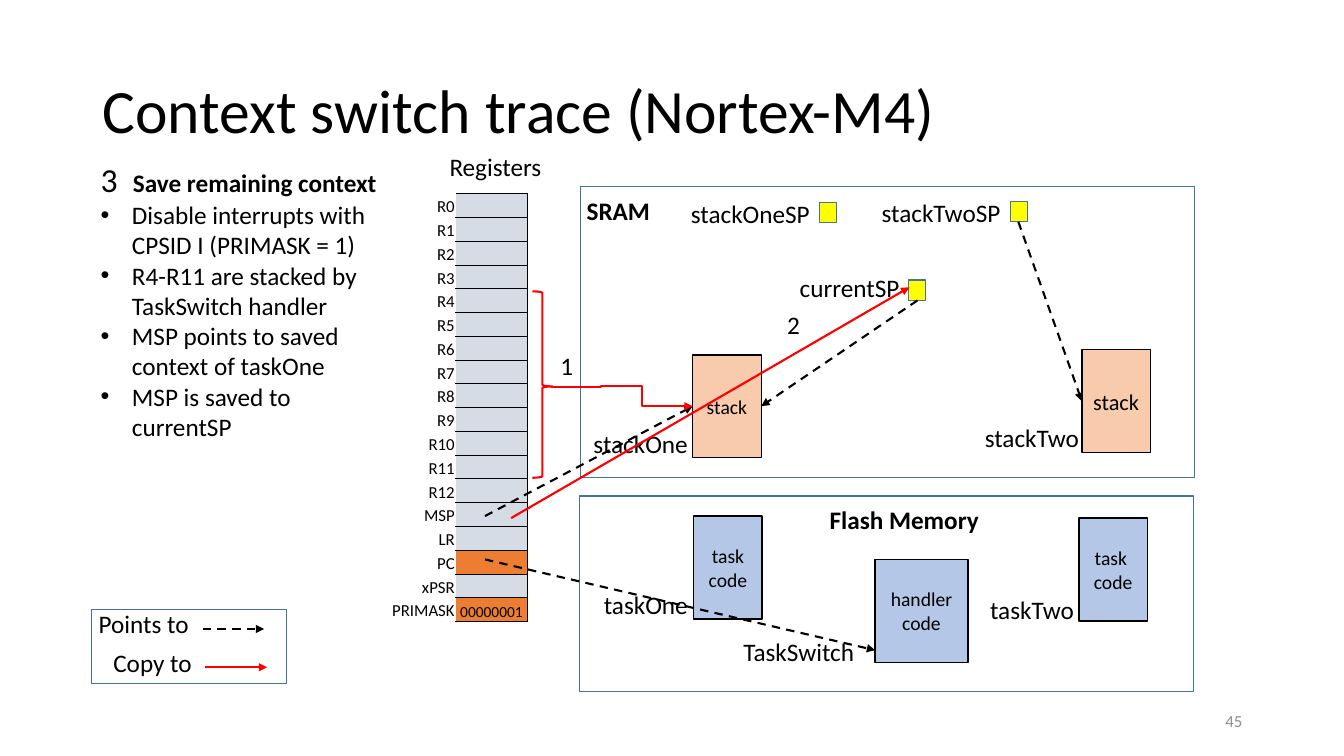
from dataclasses import dataclass

from lxml import etree
from pptx import Presentation
from pptx.dml.color import RGBColor
from pptx.enum.dml import MSO_LINE
from pptx.enum.shapes import MSO_CONNECTOR, MSO_SHAPE
from pptx.enum.text import MSO_ANCHOR, PP_ALIGN
from pptx.oxml.ns import qn
from pptx.util import Inches, Pt

LEFT, CENTER, RIGHT = PP_ALIGN.LEFT, PP_ALIGN.CENTER, PP_ALIGN.RIGHT
TOP, MIDDLE, BOTTOM = MSO_ANCHOR.TOP, MSO_ANCHOR.MIDDLE, MSO_ANCHOR.BOTTOM
STRAIGHT, ELBOW = MSO_CONNECTOR.STRAIGHT, MSO_CONNECTOR.ELBOW
RECTANGLE, BRACE = MSO_SHAPE.RECTANGLE, MSO_SHAPE.RIGHT_BRACE
DASH = MSO_LINE.DASH


@dataclass(frozen=True)
class Theme:
    """Colours, font and type sizes of the slide."""
    font: str = "Calibri"
    ink: str = "000000"
    muted: str = "8C8C8C"
    frame: str = "43739E"
    copy: str = "FF0000"
    stack: str = "F8CBAD"
    code: str = "B4C7E7"
    pointer: str = "FFFF00"
    register: str = "D6DCE5"
    changed: str = "ED7D31"
    title: int = 44
    step: int = 24
    body: int = 18
    large: int = 16
    small: int = 14
    cell: int = 12
    value: int = 11


THEME = Theme()
REGISTERS = [f"R{number}" for number in range(13)] + ["MSP", "LR", "PC", "xPSR", "PRIMASK"]
CHANGED = {"PC": "", "PRIMASK": "\u00a000000001"}
NOTES = [
    "Disable interrupts with CPSID I (PRIMASK = 1)",
    "R4-R11 are stacked by TaskSwitch handler",
    "MSP points to saved context of taskOne",
    "MSP is saved to currentSP",
]


def rgb(colour):
    """Turn a hex string into a colour."""
    return RGBColor.from_string(colour)


def add_run(paragraph, text, size, colour=THEME.ink, bold=False):
    """Append one styled run to a paragraph."""
    run = paragraph.add_run()
    run.text = text
    run.font.name, run.font.size, run.font.bold = THEME.font, Pt(size), bold
    run.font.color.rgb = rgb(colour)


def add_label(slide, box, text, size=THEME.body, align=RIGHT, anchor=TOP,
              bold=False, wrap=True, colour=THEME.ink):
    """Add a one-paragraph text box and return its paragraph."""
    frame = slide.shapes.add_textbox(*map(Inches, box)).text_frame
    frame.word_wrap, frame.vertical_anchor = wrap, anchor
    paragraph = frame.paragraphs[0]
    paragraph.alignment = align
    add_run(paragraph, text, size, colour, bold)
    return paragraph


def add_outline(slide, box, fill=None, line=THEME.frame, width=1, kind=RECTANGLE):
    """Add a preset shape with an optional fill."""
    shape = slide.shapes.add_shape(kind, *map(Inches, box))
    shape.shadow.inherit = False
    if fill:
        shape.fill.solid()
        shape.fill.fore_color.rgb = rgb(fill)
    else:
        shape.fill.background()
    shape.line.color.rgb, shape.line.width = rgb(line), Pt(width)
    return shape


def add_block(slide, box, lines, fill, size=THEME.small):
    """Add a memory block with one centred paragraph per line."""
    frame = add_outline(slide, box, fill, THEME.ink).text_frame
    frame.word_wrap, frame.vertical_anchor = True, MIDDLE
    for index, line in enumerate(lines):
        paragraph = frame.add_paragraph() if index else frame.paragraphs[0]
        paragraph.alignment = CENTER
        add_run(paragraph, line, size)


def add_arrow(slide, start, end, copies=False, kind=STRAIGHT):
    """Add a solid copy arrow or a dashed pointer arrow."""
    arrow = slide.shapes.add_connector(kind, *map(Inches, start + end))
    arrow.line.color.rgb = rgb(THEME.copy if copies else THEME.ink)
    arrow.line.width = Pt(1.5)
    if not copies:
        arrow.line.dash_style = DASH
    properties = arrow.element.find(qn("p:spPr"))
    etree.SubElement(properties.find(qn("a:ln")), qn("a:tailEnd"), type="triangle")
    etree.SubElement(properties, qn("a:effectLst"))
    return arrow


def bend_twice(arrow, *adjustments):
    """Give an elbow arrow five segments with the given adjustments."""
    geometry = arrow.element.find(qn("p:spPr")).find(qn("a:prstGeom"))
    geometry.set("prst", "bentConnector5")
    guides = geometry.find(qn("a:avLst"))
    if guides is None:
        guides = etree.SubElement(geometry, qn("a:avLst"))
    for number, value in enumerate(adjustments, 1):
        etree.SubElement(guides, qn("a:gd"), name=f"adj{number}", fmla=f"val {value}")


def add_borders(cell):
    """Draw thin lines on all four sides of a cell."""
    properties = cell._tc.get_or_add_tcPr()
    for side in ("a:lnL", "a:lnR", "a:lnT", "a:lnB"):
        line = etree.SubElement(properties, qn(side), w=str(Pt(0.5)))
        fill = etree.SubElement(line, qn("a:solidFill"))
        etree.SubElement(fill, qn("a:srgbClr"), val=THEME.ink)


def fill_cell(cell, text, size, align):
    """Write a table cell with tight margins."""
    cell.margin_left = cell.margin_right = cell.margin_top = Inches(0.01)
    cell.margin_bottom = 0
    cell.vertical_anchor = BOTTOM
    paragraph = cell.text_frame.paragraphs[0]
    paragraph.alignment = align
    if text:
        add_run(paragraph, text, size)
    else:
        etree.SubElement(paragraph._p, qn("a:endParaRPr"), sz=str(size * 100))


def add_registers(slide):
    """Add the register table."""
    box = map(Inches, (3.54, 1.92, 1.69, 4.25))
    table = slide.shapes.add_table(len(REGISTERS), 2, *box).table
    table.first_row = table.horz_banding = False
    table.columns[0].width, table.columns[1].width = Inches(0.98), Inches(0.71)
    for index, name in enumerate(REGISTERS):
        table.rows[index].height = Inches(4.25 / len(REGISTERS))
        label, value = table.cell(index, 0), table.cell(index, 1)
        fill_cell(label, name, THEME.cell, RIGHT)
        label.fill.background()
        fill_cell(value, CHANGED.get(name, ""), THEME.value, LEFT)
        add_borders(value)
        value.fill.solid()
        value.fill.fore_color.rgb = rgb(THEME.changed if name in CHANGED else THEME.register)


def add_notes_text(slide):
    """Add the step heading and its bullets."""
    heading = add_label(slide, (0.9, 1.53, 2.98, 3.53), "3  ", THEME.step, LEFT)
    add_run(heading, "Save remaining context", THEME.body, bold=True)
    body = heading._p.getparent()
    for note in NOTES:
        etree.SubElement(body, qn("a:p"))
    frame = slide.shapes[-1].text_frame
    for paragraph, note in zip(frame.paragraphs[1:], NOTES):
        add_run(paragraph, note, THEME.body)
        properties = paragraph._p.get_or_add_pPr()
        properties.set("marL", str(Inches(0.31)))
        properties.set("indent", str(-Inches(0.31)))
        etree.SubElement(properties, qn("a:buFont"), typeface="Arial")
        etree.SubElement(properties, qn("a:buChar"), char="\u2022")


def main():
    """Build the slide and save it."""
    presentation = Presentation()
    presentation.slide_width, presentation.slide_height = Inches(13.33), Inches(7.5)
    slide = presentation.slides.add_slide(presentation.slide_layouts[6])
    title = add_label(slide, (0.92, 0.4, 11.5, 1.45), "Context switch trace (Nortex-M4)",
                      THEME.title, LEFT, MIDDLE)
    title.line_spacing = 0.9
    add_label(slide, (9.42, 6.95, 3, 0.4), "45", THEME.cell, anchor=MIDDLE, colour=THEME.muted)
    for box in ((5.76, 1.85, 6.09, 2.89), (5.75, 4.92, 6.09, 1.94), (0.91, 6.05, 1.93, 0.73)):
        add_outline(slide, box)
    for left, top, width, text, bold in (
            (4.36, 1.45, 1.12, "Registers", False), (5.72, 1.89, 0.84, "SRAM", True),
            (8.13, 4.95, 1.69, "Flash Memory", True), (5.46, 3.43, 0.33, "1", False),
            (7.71, 3.02, 0.33, "2", False)):
        add_label(slide, (left, top, width, 0.4), text, align=LEFT, bold=bold, wrap=False)
    for left, top, width, lines, fill, size in (
            (6.87, 3.52, 0.68, ["stack"], THEME.stack, THEME.small),
            (10.73, 3.47, 0.68, ["stack"], THEME.stack, THEME.large),
            (6.88, 5.12, 0.68, ["task", "code"], THEME.code, THEME.small),
            (10.7, 5.14, 0.68, ["task ", "code"], THEME.code, THEME.small),
            (8.68, 5.55, 0.92, ["handler code"], THEME.code, THEME.small)):
        add_block(slide, (left, top, width, 1.02), lines, fill, size)
    for left, top, width, text in (
            (5.7, 4.2, 1.22, "stackOne"), (9.66, 4.14, 1.14, "stackTwo"),
            (5.74, 5.8, 1.18, "taskOne"), (9.57, 5.85, 1.18, "taskTwo"),
            (6.51, 1.92, 1.62, "stackOneSP"), (8.4, 1.91, 1.62, "stackTwoSP"),
            (7.56, 2.65, 1.46, "currentSP"), (7.17, 6.26, 1.4, "TaskSwitch"),
            (0.32, 6.37, 1.68, "Copy to"), (0.79, 5.99, 1.18, "Points to")):
        add_label(slide, (left, top, width, 0.4), text, wrap=text != "stackTwo")
    add_registers(slide)
    for left, top in ((9.01, 2.78), (8.13, 2.01), (10.02, 2)):
        add_outline(slide, (left, top, 0.17, 0.2), THEME.pointer)
    add_notes_text(slide)
    for start, end in (((4.81, 5.12), (6.87, 4.03)), ((4.81, 5.55), (8.68, 6.45)),
                       ((9.1, 2.98), (7.55, 4.03)), ((10.1, 2.2), (10.73, 3.98)),
                       ((2.01, 6.24), (2.62, 6.24))):
        add_arrow(slide, start, end)
    brace = add_outline(slide, (5.28, 2.89, 0.2, 1.85), line=THEME.copy, width=1.5, kind=BRACE)
    brace.adjustments[0], brace.adjustments[1] = 0.08, 0.51
    bend_twice(add_arrow(slide, (5.47, 3.84), (6.87, 4.03), True, ELBOW), 34900, -4300, 64000)
    for start, end in (((5.07, 5.14), (9.02, 2.85)), ((2.03, 6.62), (2.65, 6.62))):
        add_arrow(slide, start, end, True)
    presentation.save("out.pptx")


main()
